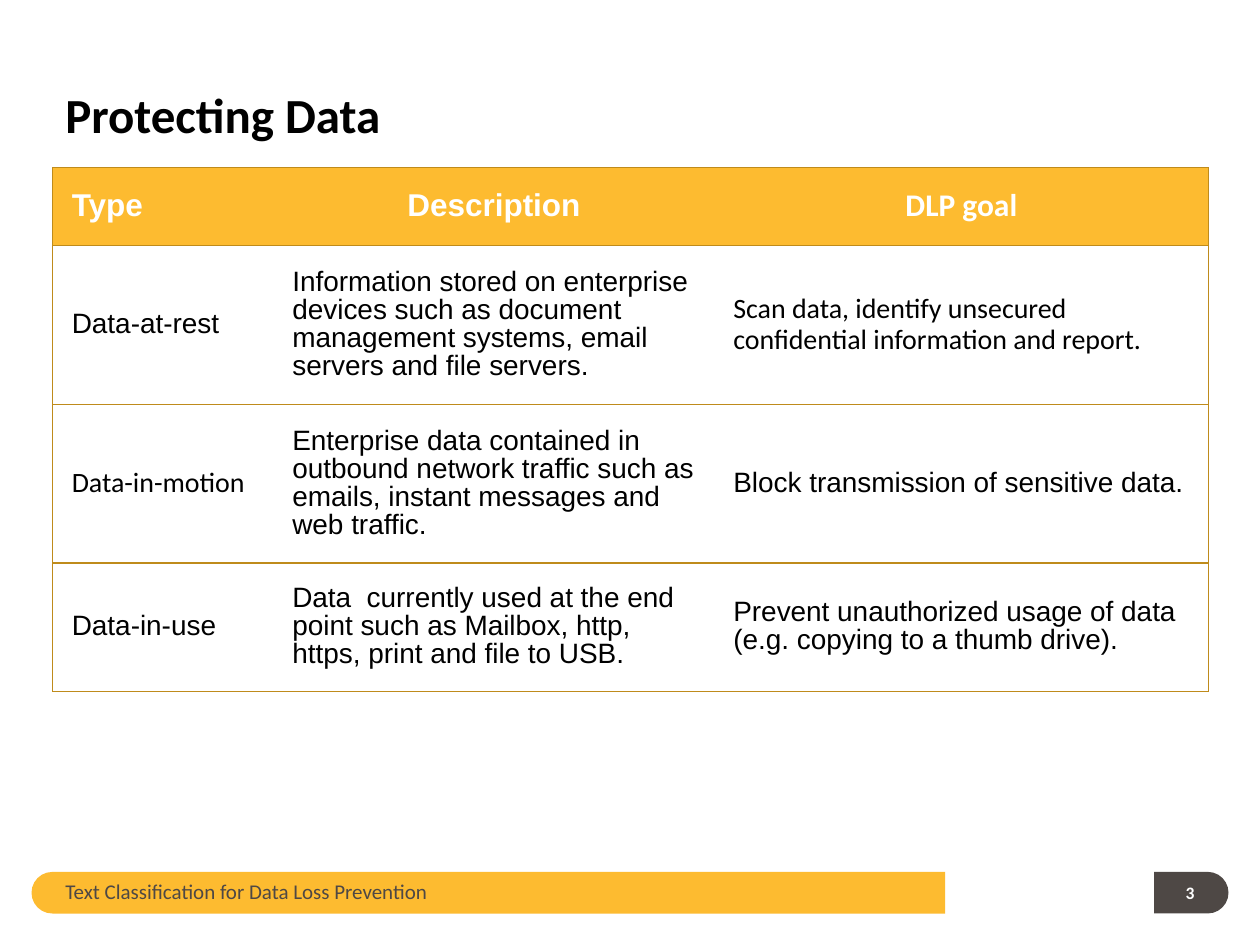
from lxml.etree import SubElement
from pptx import Presentation
from pptx.dml.color import RGBColor
from pptx.enum.shapes import MSO_SHAPE as Preset
from pptx.enum.text import MSO_ANCHOR as Anchor, PP_ALIGN as Align
from pptx.oxml.ns import qn
from pptx.util import Inches, Pt

AMBER = RGBColor(0xFD, 0xBB, 0x30)
BRONZE = RGBColor(0xBF, 0x8B, 0x1B)
CHARCOAL = RGBColor(0x4E, 0x48, 0x45)
BLACK = RGBColor(0, 0, 0)
WHITE = RGBColor(0xFF, 0xFF, 0xFF)

HEADERS = ["Type", "Description", "DLP goal"]
ROWS = [
    ["Data-at-rest",
     "Information stored on enterprise devices such as document management systems, "
     "email servers and file servers.",
     "Scan data, identify unsecured confidential information and report."],
    ["Data-in-motion",
     "Enterprise data contained in outbound network traffic such as emails, "
     "instant messages and web traffic.",
     "Block transmission of sensitive data."],
    ["Data-in-use",
     "Data  currently used at the end point such as Mailbox, http, https, "
     "print and file to USB.",
     "Prevent unauthorized usage of data (e.g. copying to a thumb drive)."],
]
CALIBRI_CELLS = {(0, 2), (1, 2), (2, 0)}


def write_text(frame, text, *, size, color, font="Calibri", bold=False,
               align=Align.LEFT, line_spacing=None, space_after=None):
    paragraph = frame.paragraphs[0]
    paragraph.alignment = align
    paragraph.line_spacing = line_spacing
    paragraph.space_after = space_after
    run = paragraph.add_run()
    run.text = text
    run.font.name = font
    run.font.size = Pt(size)
    run.font.bold = bold
    run.font.color.rgb = color


class SlideBuilder:
    cell_margin = Inches(0.15)
    border_color = BRONZE
    border_width = Pt(0.75)

    def __init__(self, slide):
        self.slide = slide

    def rounded_bar(self, left, top, width, height, rotation, color):
        shape = self.slide.shapes.add_shape(
            Preset.ROUND_2_SAME_RECTANGLE,
            Inches(left), Inches(top), Inches(width), Inches(height))
        shape.adjustments[0] = 0.5
        shape.adjustments[1] = 0
        shape.rotation = rotation
        shape.shadow.inherit = False
        shape.fill.solid()
        shape.fill.fore_color.rgb = color
        shape.line.fill.background()

    def text(self, text, left, top, width, height, anchor=Anchor.MIDDLE,
             side=0.1, edge=0, **text_format):
        shape = self.slide.shapes.add_textbox(
            Inches(left), Inches(top), Inches(width), Inches(height))
        frame = shape.text_frame
        frame.word_wrap = True
        frame.vertical_anchor = anchor
        frame.margin_left = frame.margin_right = Inches(side)
        frame.margin_top = frame.margin_bottom = Inches(edge)
        write_text(frame, text, **text_format)

    def cell_borders(self, cell, visible):
        properties = cell._tc.get_or_add_tcPr()
        for side in "LRTB":
            line = SubElement(properties, qn(f"a:ln{side}"), w=str(self.border_width))
            if side in visible:
                fill = SubElement(line, qn("a:solidFill"))
                SubElement(fill, qn("a:srgbClr"), val=str(self.border_color))
            else:
                SubElement(line, qn("a:noFill"))

    def table(self, rows, left, top, widths, heights, calibri_cells):
        table = self.slide.shapes.add_table(
            len(rows), len(widths), Inches(left), Inches(top),
            Inches(sum(widths)), Inches(sum(heights))).table
        table.horz_banding = False
        for column, width in zip(table.columns, widths):
            column.width = Inches(width)
        for row, height in zip(table.rows, heights):
            row.height = Inches(height)
        last_column = len(widths) - 1
        for row_index, row in enumerate(rows):
            header = row_index == 0
            for column_index, text in enumerate(row):
                cell = table.cell(row_index, column_index)
                visible = "TB" + "L" * (column_index == 0) + "R" * (column_index == last_column)
                self.cell_borders(cell, visible)
                if header:
                    cell.fill.solid()
                    cell.fill.fore_color.rgb = AMBER
                else:
                    cell.fill.background()
                cell.vertical_anchor = Anchor.MIDDLE
                cell.margin_left = cell.margin_right = self.cell_margin
                cell.margin_top = cell.margin_bottom = self.cell_margin
                write_text(
                    cell.text_frame, text,
                    size=18 if header else 16,
                    color=WHITE if header else BLACK,
                    font="Calibri" if (row_index, column_index) in calibri_cells else "Arial",
                    bold=header,
                    align=Align.CENTER if header and column_index else Align.LEFT,
                    line_spacing=0.9, space_after=Pt(6))


def main():
    presentation = Presentation()
    presentation.slide_width = Inches(10)
    presentation.slide_height = Inches(7.5)
    builder = SlideBuilder(presentation.slides.add_slide(presentation.slide_layouts[6]))

    builder.rounded_bar(3.71, 3.46, 0.33, 7.25, 270, AMBER)
    builder.rounded_bar(9.29, 6.79, 0.33, 0.59, 90, CHARCOAL)
    builder.text("Protecting Data", 0.42, 0.27, 9.17, 0.92, anchor=Anchor.BOTTOM,
                 edge=0.05, size=28, color=BLACK, bold=True, line_spacing=0.9)
    builder.text("Text Classification for Data Loss Prevention", 0.42, 6.95, 4.58, 0.25,
                 size=12, color=CHARCOAL)
    builder.text("3", 9.36, 7, 0.17, 0.17, side=0, size=10, color=WHITE, bold=True,
                 align=Align.CENTER)
    builder.table([HEADERS] + ROWS, 0.42, 1.33, [1.75, 3.5, 3.92],
                  [0.62, 1.19, 1.19, 0.97], CALIBRI_CELLS)
    presentation.save("out.pptx")


if __name__ == "__main__":
    main()
